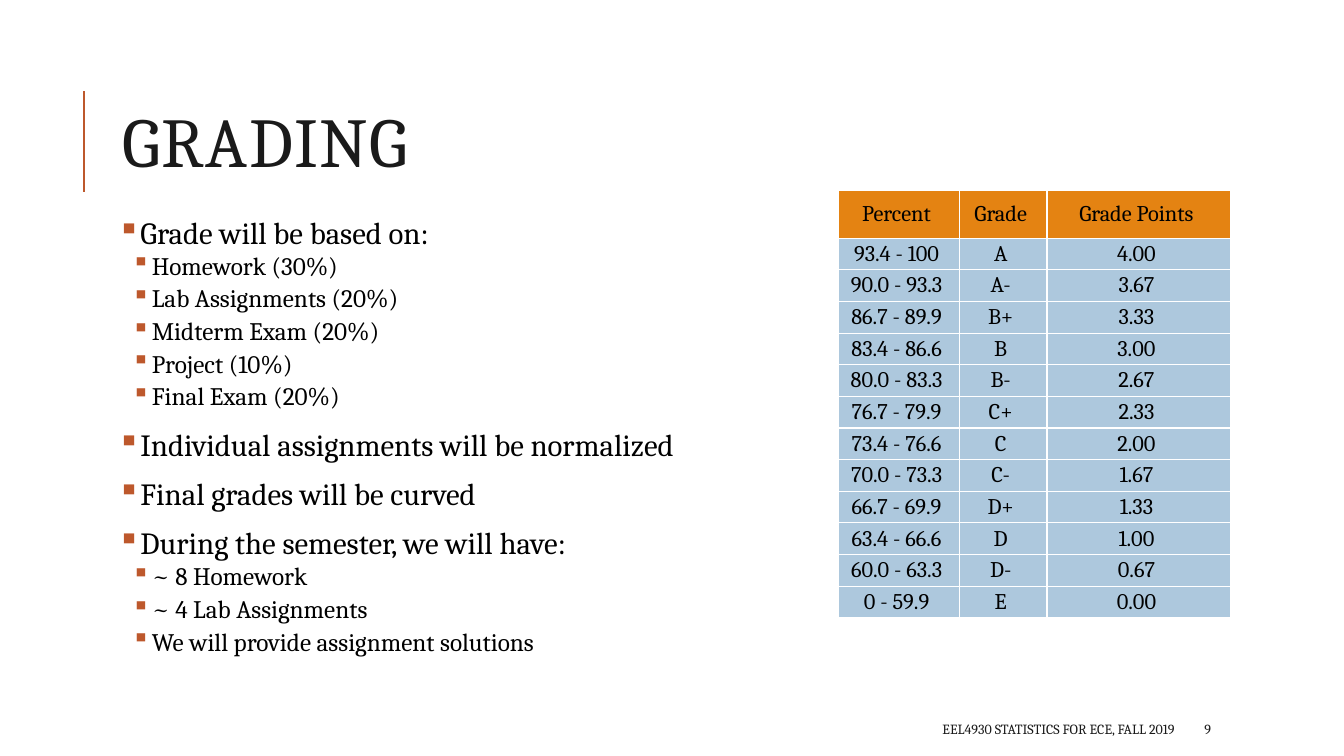
from lxml.etree import SubElement
from pptx import Presentation
from pptx.dml.color import RGBColor
from pptx.enum.shapes import MSO_CONNECTOR
from pptx.enum.text import MSO_ANCHOR, PP_ALIGN
from pptx.oxml.ns import qn
from pptx.util import Inches, Pt

COLS, ROWS = 40, 22.5
WIDE, HIGH = Inches(13.333), Inches(7.5)
INK, BLACK, WHITE = "1A1A1A", "000000", "FFFFFF"
RUST, AMBER, BLUE = "BD582C", "E48312", "ADC8DD"

POINTS = [
    (0, "Grade will be based on:"),
    (1, "Homework (30%)"),
    (1, "Lab Assignments (20%)"),
    (1, "Midterm Exam (20%)"),
    (1, "Project (10%)"),
    (1, "Final Exam (20%)"),
    (0, "Individual assignments will be normalized"),
    (0, "Final grades will be curved"),
    (0, "During the semester, we will have:"),
    (1, "~ 8 Homework"),
    (1, "~ 4 Lab Assignments"),
    (1, "We will provide assignment solutions"),
]
# Per level: text size, left margin, hanging indent, space before, space after
LEVELS = [(22, 0.17, 0.17, 12, 2), (18, 0.34, 0.2, 2, 4)]

GRADES = [
    ("Percent", "Grade", "Grade Points"),
    ("93.4 - 100", "A", "4.00"),
    ("90.0 - 93.3", "A-", "3.67"),
    ("86.7 - 89.9", "B+", "3.33"),
    ("83.4 - 86.6", "B", "3.00"),
    ("80.0 - 83.3", "B-", "2.67"),
    ("76.7 - 79.9", "C+", "2.33"),
    ("73.4 - 76.6", "C", "2.00"),
    ("70.0 - 73.3", "C-", "1.67"),
    ("66.7 - 69.9", "D+", "1.33"),
    ("63.4 - 66.6", "D", "1.00"),
    ("60.0 - 63.3", "D-", "0.67"),
    ("0 - 59.9", "E", "0.00"),
]


def col(n):
    return round(WIDE * n / COLS)


def row(n):
    return round(HIGH * n / ROWS)


def rgb(code):
    return RGBColor.from_string(code)


def write(par, text, size=16, color=BLACK, face="Cambria", align=None, lead=None, track=0):
    """Add a run; lead is line spacing, track is letter spacing in points."""
    run = par.add_run()
    run.text = text
    run.font.name, run.font.size = face, Pt(size)
    run.font.color.rgb = rgb(color)
    if track:
        run.font._element.set("spc", str(track * 100))
    if align is not None:
        par.alignment = align
    if lead:
        par.line_spacing = lead


def mark(par, left, hang, color):
    """Give a paragraph a square bullet and a hanging indent."""
    props = par._p.get_or_add_pPr()
    props.set("marL", str(Inches(left)))
    props.set("indent", str(-Inches(hang)))
    tint = SubElement(props, qn("a:buClr"))
    SubElement(tint, qn("a:srgbClr"), val=color)
    SubElement(props, qn("a:buChar"), char="▪")


def edge(cell, color, width):
    """Draw all four borders of a cell, keeping its fill last."""
    props = cell._tc.get_or_add_tcPr()
    for spot, side in enumerate(("lnL", "lnR", "lnT", "lnB")):
        line = SubElement(props, qn("a:" + side), w=str(Pt(width)))
        fill = SubElement(line, qn("a:solidFill"))
        SubElement(fill, qn("a:srgbClr"), val=color)
        props.insert(spot, line)


class Deck:
    """Holds the slide; all places are columns and rows of its grid."""

    def __init__(self):
        self.show = Presentation()
        self.show.slide_width, self.show.slide_height = WIDE, HIGH
        self.slide = self.show.slides.add_slide(self.show.slide_layouts[6])
        self.shapes = self.slide.shapes

    def rule(self, x, top, end, color, width):
        line = self.shapes.add_connector(
            MSO_CONNECTOR.STRAIGHT, col(x), row(end), col(x), row(top))
        line.line.color.rgb = rgb(color)
        line.line.width = Pt(width)
        SubElement(line._element.spPr, qn("a:effectLst"))

    def frame(self, x, y, w, h, anchor=MSO_ANCHOR.MIDDLE):
        frame = self.shapes.add_textbox(col(x), row(y), col(w), row(h)).text_frame
        frame.word_wrap = True
        frame.vertical_anchor = anchor
        return frame

    def text(self, x, y, w, h, text, **style):
        write(self.frame(x, y, w, h).paragraphs[0], text, **style)

    def list(self, x, y, w, h, items):
        frame = self.frame(x, y, w, h, MSO_ANCHOR.TOP)
        frame.margin_left = frame.margin_right = Inches(0.05)
        for spot, (level, text) in enumerate(items):
            size, left, hang, before, after = LEVELS[level]
            par = frame.add_paragraph() if spot else frame.paragraphs[0]
            par.level = level
            mark(par, left, hang, RUST)
            if spot:
                par.space_before = Pt(before)
            par.space_after = Pt(after)
            write(par, text, size=size, lead=0.8)

    def table(self, x, y, widths, head, h, data):
        grid = self.shapes.add_table(
            len(data), len(widths), col(x), row(y), col(sum(widths)), row(h)).table
        for part, width in zip(grid.columns, widths):
            part.width = col(width)
        for spot, line in enumerate(data):
            grid.rows[spot].height = row((h - head) / (len(data) - 1) if spot else head)
            for place, text in enumerate(line):
                self.cell(grid.cell(spot, place), text, BLUE if spot else AMBER)

    def cell(self, cell, text, color):
        cell.fill.solid()
        cell.fill.fore_color.rgb = rgb(color)
        edge(cell, WHITE, 1)
        cell.vertical_anchor = MSO_ANCHOR.MIDDLE
        cell.margin_left, cell.margin_right = Inches(0.07), Inches(0.12)
        cell.margin_top = cell.margin_bottom = 0
        write(cell.text_frame.paragraphs[0], text, align=PP_ALIGN.CENTER)


def main():
    deck = Deck()
    deck.rule(2.5, 2.7, 5.7, RUST, 1.5)
    deck.text(3.35, 1.92, 31.9, 4.92, "GRADING", size=50, color=INK, lead=0.8, track=1)
    deck.list(3.35, 6.42, 31.9, 14.28, POINTS)
    deck.text(15.9, 21.24, 19.35, 0.9, "EEL4930 STATISTICS FOR ECE, FALL 2019",
              size=10, color=INK, align=PP_ALIGN.RIGHT)
    deck.text(35.55, 21.24, 3.18, 0.9, "9", size=10, color=INK)
    deck.table(24.96, 5.67, (3.6, 2.6, 5.48), 1.42, 12.73, GRADES)
    deck.show.save("out.pptx")


if __name__ == "__main__":
    main()
